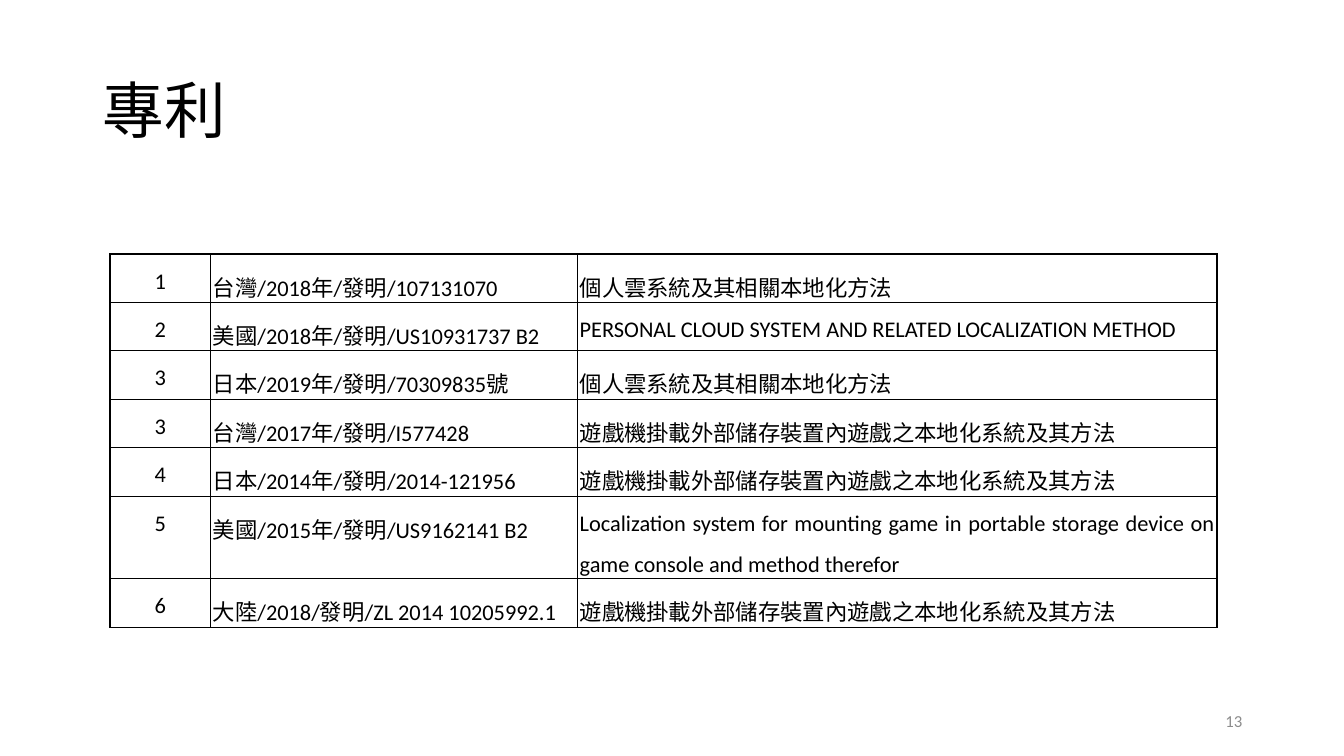
from typing import Any, NamedTuple

from lxml.etree import SubElement
from pptx import Presentation
from pptx.dml.color import RGBColor
from pptx.enum.text import MSO_ANCHOR, MSO_AUTO_SIZE, PP_ALIGN
from pptx.oxml.ns import qn
from pptx.util import Emu, Pt

PX = 9144  # 100 px to the inch
FONT = "Calibri"
COLORS = {"text": "000000", "border": "000000", "page": "8C8C8C"}


class Patent(NamedTuple):
    number: str
    filing: str
    invention: str
    height: int = 48


CLOUD = "個人雲系統及其相關本地化方法"
CONSOLE = "遊戲機掛載外部儲存裝置內遊戲之本地化系統及其方法"
PATENTS = [
    Patent("1", "台灣/2018年/發明/107131070", CLOUD),
    Patent("2", "美國/2018年/發明/US10931737 B2",
           "PERSONAL CLOUD SYSTEM AND RELATED LOCALIZATION METHOD"),
    Patent("3", "日本/2019年/發明/70309835號", CLOUD),
    Patent("3", "台灣/2017年/發明/I577428", CONSOLE),
    Patent("4", "日本/2014年/發明/2014-121956", CONSOLE),
    Patent("5", "美國/2015年/發明/US9162141 B2",
           "Localization system for mounting game in portable storage device "
           "on game console and method therefor", 82),
    Patent("6", "大陸/2018/發明/ZL 2014 10205992.1", CONSOLE),
]
COLUMN_WIDTHS = [100, 364, 634]
COLUMN_ALIGNS = [PP_ALIGN.CENTER, PP_ALIGN.JUSTIFY, PP_ALIGN.JUSTIFY]
TITLE_FRAME = {"vertical_anchor": MSO_ANCHOR.MIDDLE, "word_wrap": True,
               "auto_size": MSO_AUTO_SIZE.NONE}
CELL_MARGINS = {"margin_left": Emu(2 * PX), "margin_right": Emu(2 * PX),
                "margin_top": 0, "margin_bottom": 0}


def px(length: int) -> Emu:
    return Emu(length * PX)


def apply(target: Any, formats: dict[str, Any]) -> None:
    for name, value in formats.items():
        setattr(target, name, value)


def write(frame: Any, text: str, size: int, color: str,
          align: PP_ALIGN, spacing: float = 1.0) -> None:
    paragraph = frame.paragraphs[0]
    apply(paragraph, {"alignment": align, "line_spacing": spacing})
    run = paragraph.add_run()
    run.text = text
    apply(run.font, {"name": FONT, "size": Pt(size), "bold": False})
    run.font.color.rgb = RGBColor.from_string(COLORS[color])


def add_borders(cell: Any) -> None:
    properties = cell._tc.get_or_add_tcPr()
    for side in ("lnL", "lnR", "lnT", "lnB"):
        line = SubElement(properties, qn(f"a:{side}"), w=str(Pt(1)))
        fill = SubElement(line, qn("a:solidFill"))
        SubElement(fill, qn("a:srgbClr"), val=COLORS["border"])


def add_patent_table(slide: Any) -> None:
    table = slide.shapes.add_table(
        len(PATENTS), len(COLUMN_WIDTHS), px(109), px(252),
        px(sum(COLUMN_WIDTHS)), px(sum(p.height for p in PATENTS))).table
    apply(table, {"first_row": False, "horz_banding": False})
    for column, width in zip(table.columns, COLUMN_WIDTHS):
        column.width = px(width)
    for row, patent in zip(table.rows, PATENTS):
        row.height = px(patent.height)
        for cell, text, align in zip(row.cells, patent[:3], COLUMN_ALIGNS):
            apply(cell, CELL_MARGINS)
            add_borders(cell)
            cell.fill.background()
            write(cell.text_frame, text, 16, "text", align, 1.5)


def main() -> None:
    deck = Presentation()
    apply(deck, {"slide_width": px(1333), "slide_height": px(750)})
    slide = deck.slides.add_slide(deck.slide_layouts[5])

    title = slide.shapes.title
    apply(title, {"left": px(92), "top": px(40),
                  "width": px(1150), "height": px(145)})
    apply(title.text_frame, TITLE_FRAME)
    write(title.text_frame, "專利", 44, "text", PP_ALIGN.LEFT, 0.9)

    add_patent_table(slide)

    page = slide.shapes.add_textbox(px(942), px(695), px(300), px(40)).text_frame
    apply(page, {"vertical_anchor": MSO_ANCHOR.MIDDLE, "word_wrap": True})
    write(page, "13", 12, "page", PP_ALIGN.RIGHT)

    deck.save("out.pptx")


if __name__ == "__main__":
    main()
